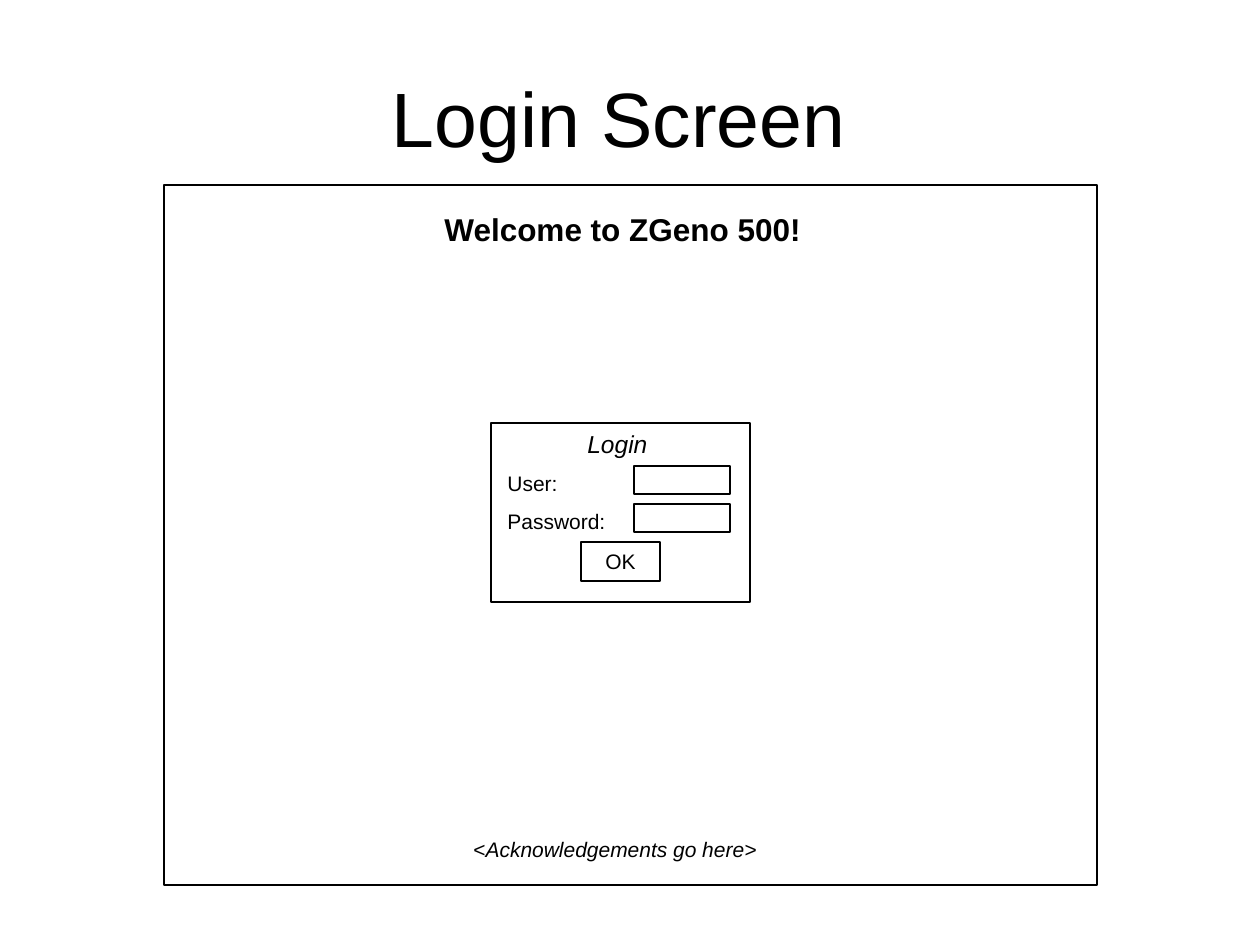
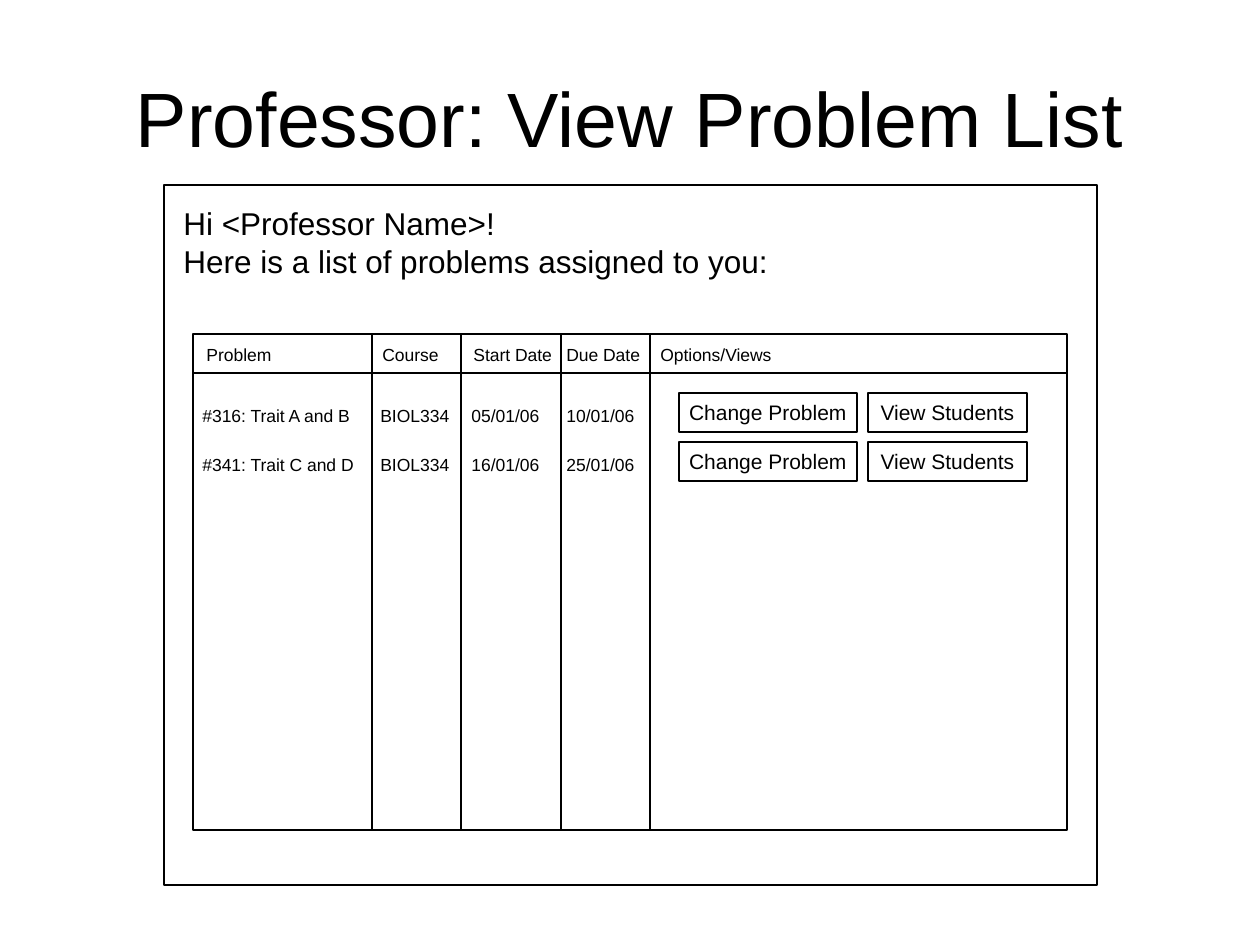
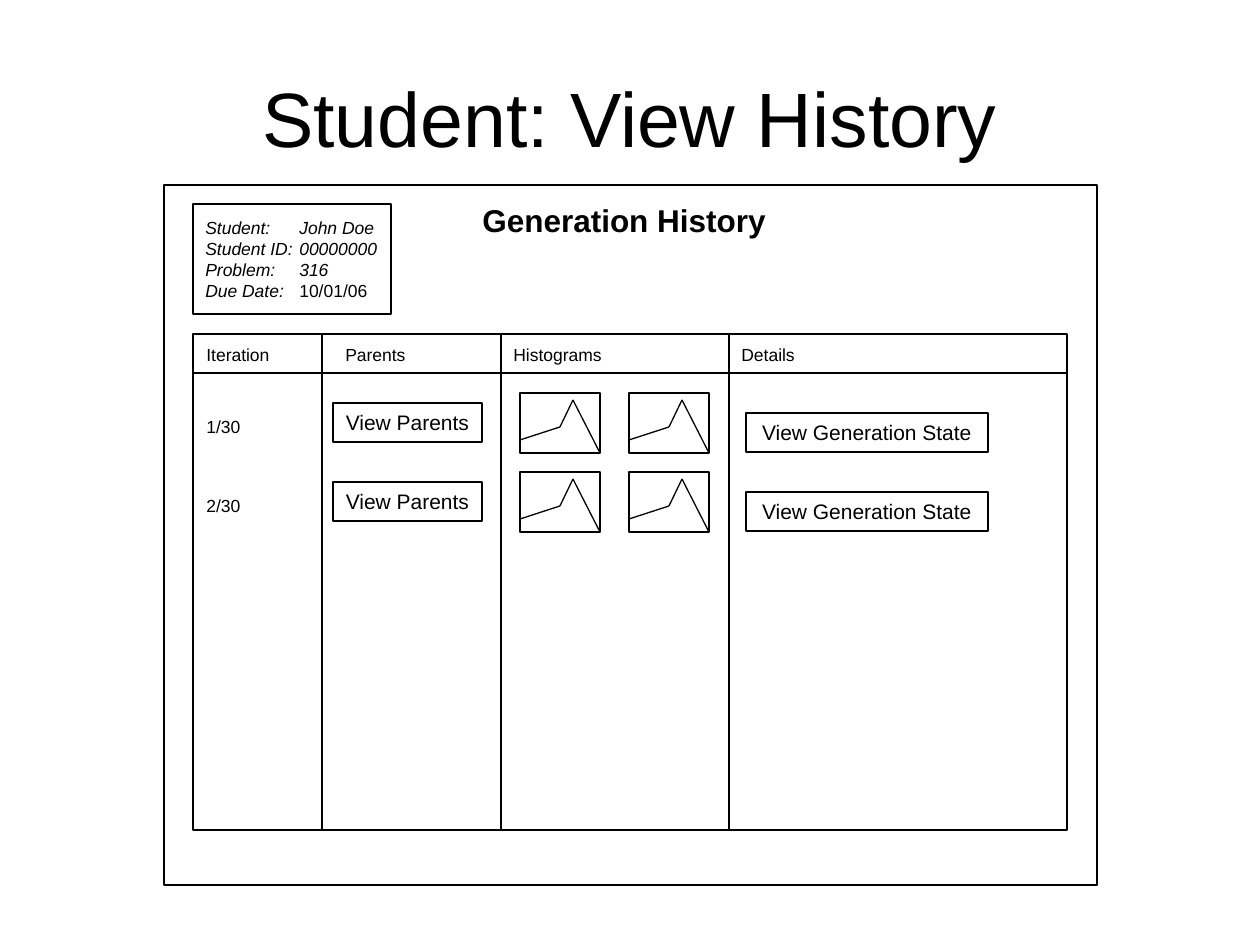
from dataclasses import dataclass

from lxml.etree import SubElement
from pptx import Presentation
from pptx.dml.color import RGBColor
from pptx.enum.shapes import MSO_CONNECTOR, MSO_SHAPE
from pptx.enum.text import MSO_ANCHOR, MSO_AUTO_SIZE, PP_ALIGN
from pptx.oxml.ns import qn
from pptx.util import Pt

EMU_PER_PX = 914400 / 126


@dataclass(frozen=True)
class Theme:
    font: str = "Arial"
    ink: RGBColor = RGBColor(0, 0, 0)
    line: float = 0.75
    title: int = 44
    heading: int = 18
    caption: int = 14
    control: int = 12
    cell: int = 10


THEME = Theme()


@dataclass(frozen=True)
class Box:
    left: int
    top: int
    width: int
    height: int

    def inner(self, left, top, width, height):
        """Return a box placed relative to this one."""
        return Box(self.left + left, self.top + top, width, height)

    def emu(self):
        return [px(n) for n in (self.left, self.top, self.width, self.height)]


FRAME = Box(164, 185, 933, 700)
GRID = FRAME.inner(29, 149, 874, 496)
HEADER_HEIGHT = 39


def px(length):
    return round(length * EMU_PER_PX)


def style_span(span, size, bold=False, italic=False):
    font = span.font
    font.name, font.size = THEME.font, Pt(size)
    font.bold, font.italic = bold, italic
    font.color.rgb = THEME.ink


def add_span(para, text, size, italic=False):
    span = para.add_run()
    span.text = text
    style_span(span, size, italic=italic)


def set_tab_stops(para, stops):
    tab_list = SubElement(para._p.get_or_add_pPr(), qn("a:tabLst"))
    for stop in stops:
        SubElement(tab_list, qn("a:tab"), pos=str(px(stop)), algn="l")


def add_label(page, box, text, size, bold=False, italic=False, stops=()):
    frame = page.shapes.add_textbox(*box.emu()).text_frame
    frame.word_wrap = True
    frame.text = text
    for para in frame.paragraphs:
        if stops:
            set_tab_stops(para, stops)
        for span in para.runs:
            style_span(span, size, bold, italic)
    return frame


def add_outline(page, box):
    shape = page.shapes.add_shape(MSO_SHAPE.RECTANGLE, *box.emu())
    shape.shadow.inherit = False
    shape.fill.background()
    shape.line.color.rgb = THEME.ink
    shape.line.width = Pt(THEME.line)
    return shape


def add_button(page, box, text):
    frame = add_outline(page, box).text_frame
    frame.word_wrap = False
    frame.vertical_anchor = MSO_ANCHOR.MIDDLE
    frame.text = text
    para = frame.paragraphs[0]
    para.alignment = PP_ALIGN.CENTER
    style_span(para.runs[0], THEME.control)


def add_rule(page, box, start, end):
    """Draw a line between two points given relative to the box."""
    ends = [px(n) for x, y in (start, end) for n in (box.left + x, box.top + y)]
    rule = page.shapes.add_connector(MSO_CONNECTOR.STRAIGHT, *ends)
    rule.line.color.rgb = THEME.ink
    rule.line.width = Pt(THEME.line)
    SubElement(rule._element.spPr, qn("a:effectLst"))


def add_histogram(page, box):
    add_outline(page, box)
    points = [(0, 47), (40, 34), (53, 7), (box.width, box.height)]
    for start, end in zip(points, points[1:]):
        add_rule(page, box, start, end)


def add_grid(page, box, dividers, headers):
    """Draw a ruled list; each header is text, left offset and width."""
    add_outline(page, box)
    add_rule(page, box, (0, HEADER_HEIGHT), (box.width, HEADER_HEIGHT))
    for x in dividers:
        add_rule(page, box, (x, 0), (x, box.height))
    for text, left, width in headers:
        add_label(page, box.inner(left, 4, width, 34), text, THEME.cell)


def add_screen(deck, title, title_left=63):
    """Add a titled slide with the empty application window."""
    page = deck.slides.add_slide(deck.slide_layouts[5])
    holder = page.shapes.title
    holder.left, holder.top, holder.width, holder.height = Box(title_left, 38, 1134, 158).emu()
    frame = holder.text_frame
    frame.text = title
    frame.word_wrap = True
    frame.auto_size = MSO_AUTO_SIZE.NONE
    frame.vertical_anchor = MSO_ANCHOR.MIDDLE
    para = frame.paragraphs[0]
    para.alignment = PP_ALIGN.CENTER
    style_span(para.runs[0], THEME.title)
    add_outline(page, FRAME)
    return page


def add_login_form(page, box):
    add_outline(page, box)
    add_label(page, box.inner(84, 0, 88, 43), "Login", THEME.caption, italic=True)
    for row, text in enumerate(("User:", "Password:")):
        top = 41 + 38 * row
        add_label(page, box.inner(4, top, 144, 38), text, THEME.control)
        add_outline(page, box.inner(143, top + 2, 96, 28))
    add_button(page, box.inner(90, 119, 79, 39), "OK")


def add_problem_row(page, box, text):
    add_label(page, box.inner(-3, 6, 462, 34), text, THEME.cell, stops=(178, 269, 364))
    add_button(page, box.inner(486, 0, 178, 39), "Change Problem")
    add_button(page, box.inner(675, 0, 159, 39), "View Students")


def add_student_card(page, box):
    add_outline(page, box)
    lines = ("Student:\tJohn Doe", "Student ID:\t00000000", "Problem:\t316", "Due Date:\t")
    stops = (94,)
    frame = add_label(page, box.inner(0, 7, 204, 97), "\n".join(lines), THEME.cell,
                      italic=True, stops=stops)
    add_span(frame.paragraphs[-1], "10/01/06", THEME.cell)


def add_generation_row(page, box, iteration):
    add_label(page, box.inner(1, 17, 62, 34), iteration, THEME.cell)
    add_button(page, box.inner(140, 10, 149, 39), "View Parents")
    for column in range(2):
        add_histogram(page, box.inner(327 + 109 * column, 0, 80, 60))
    add_button(page, box.inner(553, 20, 242, 39), "View Generation State")


def build_login(deck):
    page = add_screen(deck, "Login Screen", title_left=52)
    add_label(page, FRAME.inner(268, 19, 386, 50), "Welcome to ZGeno 500!",
              THEME.heading, bold=True)
    add_login_form(page, FRAME.inner(327, 238, 259, 179))
    note = add_label(page, FRAME.inner(297, 645, 312, 38), "<", THEME.control)
    add_span(note.paragraphs[0], "Acknowledgements go here", THEME.control, italic=True)
    add_span(note.paragraphs[0], ">", THEME.control)


def build_problem_list(deck):
    page = add_screen(deck, "Professor: View Problem List")
    greeting = "Hi <Professor Name>!\nHere is a list of problems assigned to you:"
    add_label(page, FRAME.inner(7, 13, 614, 88), greeting, THEME.heading)
    headers = [("Problem", 1, 92), ("Course", 177, 84), ("Start Date", 268, 106),
               ("Due Date", 361, 102), ("Options/Views", 455, 139)]
    add_grid(page, GRID, (179, 268, 368, 457), headers)
    problems = ("#316: Trait A and B\tBIOL334\t05/01/06\t10/01/06",
                "#341: Trait C and D\tBIOL334\t16/01/06\t25/01/06")
    for row, text in enumerate(problems):
        add_problem_row(page, GRID.inner(0, 59 + 49 * row, GRID.width, 39), text)


def build_history(deck):
    page = add_screen(deck, "Student: View History")
    add_label(page, FRAME.inner(306, 10, 312, 50), "Generation History",
              THEME.heading, bold=True)
    add_student_card(page, FRAME.inner(29, 19, 198, 110))
    headers = [("Iteration", 1, 92), ("Parents", 140, 88),
               ("Histograms", 308, 117), ("Details", 536, 82)]
    add_grid(page, GRID, (129, 308, 536), headers)
    for row, iteration in enumerate(("1/30", "2/30")):
        add_generation_row(page, GRID.inner(0, 59 + 79 * row, GRID.width, 60), iteration)


def main():
    deck = Presentation()
    deck.slide_width, deck.slide_height = px(1260), px(945)
    build_login(deck)
    build_problem_list(deck)
    build_history(deck)
    deck.save("out.pptx")


if __name__ == "__main__":
    main()
